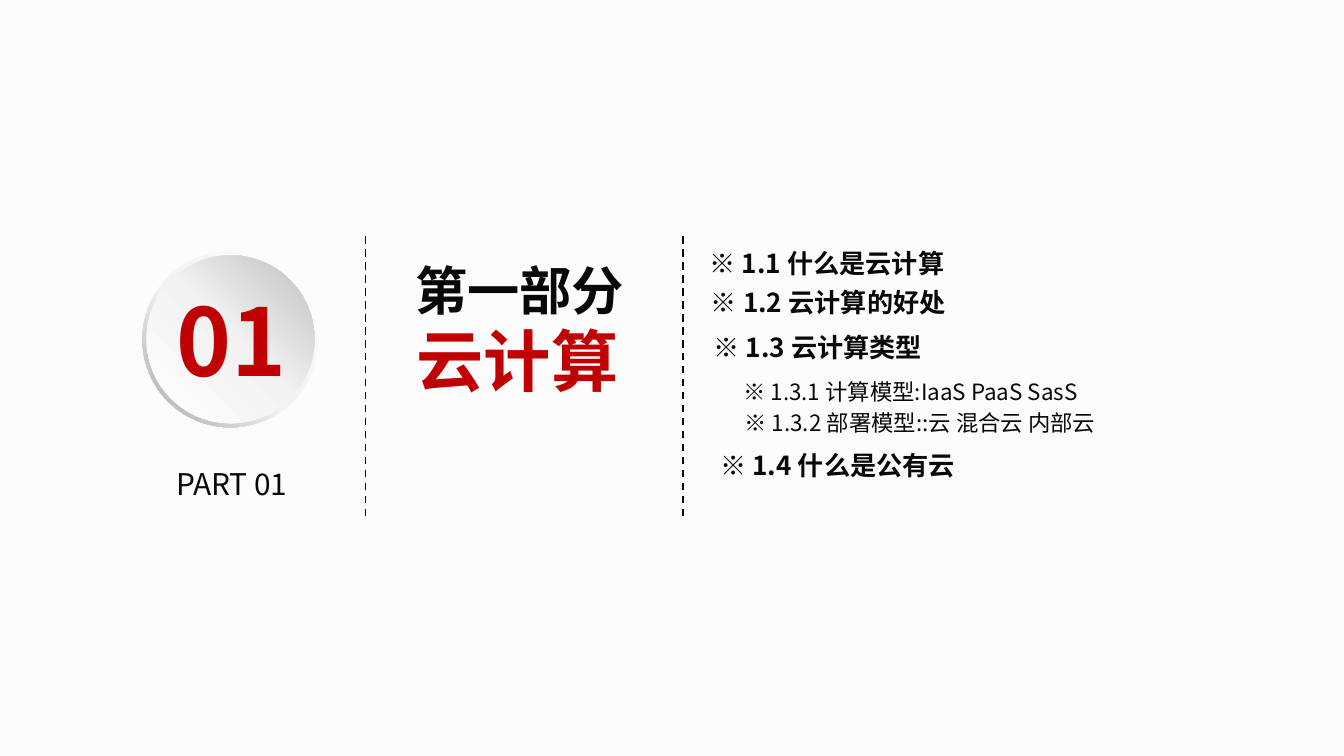
from lxml import etree
from pptx import Presentation
from pptx.dml.color import RGBColor
from pptx.enum.dml import MSO_LINE
from pptx.enum.shapes import MSO_CONNECTOR, MSO_SHAPE
from pptx.enum.text import MSO_ANCHOR, MSO_AUTO_SIZE, PP_ALIGN
from pptx.oxml.ns import qn
from pptx.util import Inches, Pt

FONT = "Noto Sans CJK SC"
INK = RGBColor(0x08, 0x08, 0x08)
RED = RGBColor(0xC0, 0x00, 0x02)
PAPER = RGBColor(0xFC, 0xFC, 0xFC)
WHITE = RGBColor(0xFF, 0xFF, 0xFF)
PALE = RGBColor(0xF2, 0xF2, 0xF2)
RIM_GREY = RGBColor(0xA6, 0xA6, 0xA6)
DISC_GREY = RGBColor(0xBF, 0xBF, 0xBF)
LEFT, CENTER = PP_ALIGN.LEFT, PP_ALIGN.CENTER
LINE_RATIO = 1.21

# text, is a sub-topic, indent in inches, space before in points
TOPICS = [
    ("※ 1.1 什么是云计算", False, 0, 0),
    ("※ 1.2 云计算的好处", False, 0.01, 4),
    ("※ 1.3 云计算类型", False, 0.03, 7),
    ("※ 1.3.1 计算模型:IaaS PaaS SasS", True, 0.25, 8),
    ("※ 1.3.2 部署模型::云 混合云 内部云", True, 0.26, 2.5),
    ("※ 1.4 什么是公有云", False, 0.08, 7),
]


def place_frame(sp, x, y, w, h):
    """Move a text shape and return its frame, without insets or autofit."""
    sp.left, sp.top, sp.width, sp.height = map(Inches, (x, y, w, h))
    tf = sp.text_frame
    tf.word_wrap = True
    tf.auto_size = MSO_AUTO_SIZE.NONE
    tf.vertical_anchor = MSO_ANCHOR.TOP
    tf.margin_left = tf.margin_top = tf.margin_right = tf.margin_bottom = 0
    return tf


def write(p, text, size, color=INK, bold=False, align=LEFT, indent=0,
          before=0, line=None):
    pPr = p._p.get_or_add_pPr()
    pPr.set("marL", str(Inches(indent)))
    pPr.set("indent", "0")
    p.alignment = align
    p.line_spacing = Pt(line or size * LINE_RATIO)
    p.space_before = Pt(before)
    p.space_after = Pt(0)
    etree.SubElement(pPr, qn("a:buNone"))
    r = p.add_run()
    r.text = text
    r.font.name = FONT
    r.font.size = Pt(size)
    r.font.bold = bold
    r.font.color.rgb = color
    rPr = r._r.get_or_add_rPr()
    etree.SubElement(rPr, qn("a:ea")).set("typeface", FONT)


def add_label(slide, x, y, w, h, text, **style):
    sp = slide.shapes.add_textbox(0, 0, 0, 0)
    write(place_frame(sp, x, y, w, h).paragraphs[0], text, **style)


def add_gradient_shape(slide, kind, x, y, size, stops, angle):
    """Angle is in degrees, counter-clockwise; stops are (percent, colour)."""
    sp = slide.shapes.add_shape(kind, *map(Inches, (x, y, size, size)))
    sp.shadow.inherit = False
    sp.line.fill.background()
    sp.fill.gradient()
    sp.fill.gradient_angle = angle
    stop_list = sp._element.spPr.find(".//" + qn("a:gsLst"))
    for stop in list(stop_list):
        stop_list.remove(stop)
    for percent, color in stops:
        stop = etree.SubElement(stop_list, qn("a:gs"), pos=str(percent * 1000))
        etree.SubElement(stop, qn("a:srgbClr"), val=str(color))
    return sp


def add_divider(slide, x, y, h):
    """Draw a dashed line upwards from the foot of the box."""
    line = slide.shapes.add_connector(
        MSO_CONNECTOR.STRAIGHT, *map(Inches, (x, y + h, x, y)))
    line.line.color.rgb = INK
    line.line.width = Pt(1)
    line.line.dash_style = MSO_LINE.DASH
    etree.SubElement(line._element.spPr, qn("a:effectLst"))


def add_badge(slide, x, y, size):
    rim = add_gradient_shape(
        slide, MSO_SHAPE.DONUT, x, y, size,
        [(0, WHITE), (55, PALE), (100, RIM_GREY)], 225)
    rim.adjustments[0] = 0.049
    inset = 0.03
    add_gradient_shape(
        slide, MSO_SHAPE.OVAL, x + inset, y + inset, size - 2 * inset,
        [(0, WHITE), (51, PALE), (100, DISC_GREY)], 45)
    add_label(slide, x + 0.25, y + 0.23, 0.99, 0.84, "01",
              size=50, color=RED, bold=True)
    add_label(slide, x + 0.25, y + 1.59, 0.99, 0.27, "PART 01", size=16)


def add_heading(slide, x, y, w, h):
    tf = place_frame(slide.shapes.title, x, y, w, h)
    write(tf.paragraphs[0], "第一部分", 28, bold=True, indent=0.05, line=33.5)
    write(tf.add_paragraph(), "云计算", 36, color=RED, bold=True,
          align=CENTER, line=42.5)


def add_topics(slide, x, y, w, h):
    tf = place_frame(slide.placeholders[1], x, y, w, h)
    for i, (text, is_sub, indent, before) in enumerate(TOPICS):
        p = tf.add_paragraph() if i else tf.paragraphs[0]
        write(p, text, 12 if is_sub else 14, bold=not is_sub,
              indent=indent, before=before)


def main():
    prs = Presentation()
    prs.slide_width = Inches(10)
    prs.slide_height = prs.slide_width * 9 // 16
    slide = prs.slides.add_slide(prs.slide_layouts[1])
    slide.background.fill.solid()
    slide.background.fill.fore_color.rgb = PAPER
    add_badge(slide, 1.06, 1.87, 1.31)
    add_heading(slide, 3.04, 1.92, 1.62, 1.1)
    add_topics(slide, 5.28, 1.84, 3.5, 1.8)
    for x in (2.72, 5.08):
        add_divider(slide, x, 1.74, 2.1)
    prs.save("out.pptx")


if __name__ == "__main__":
    main()
